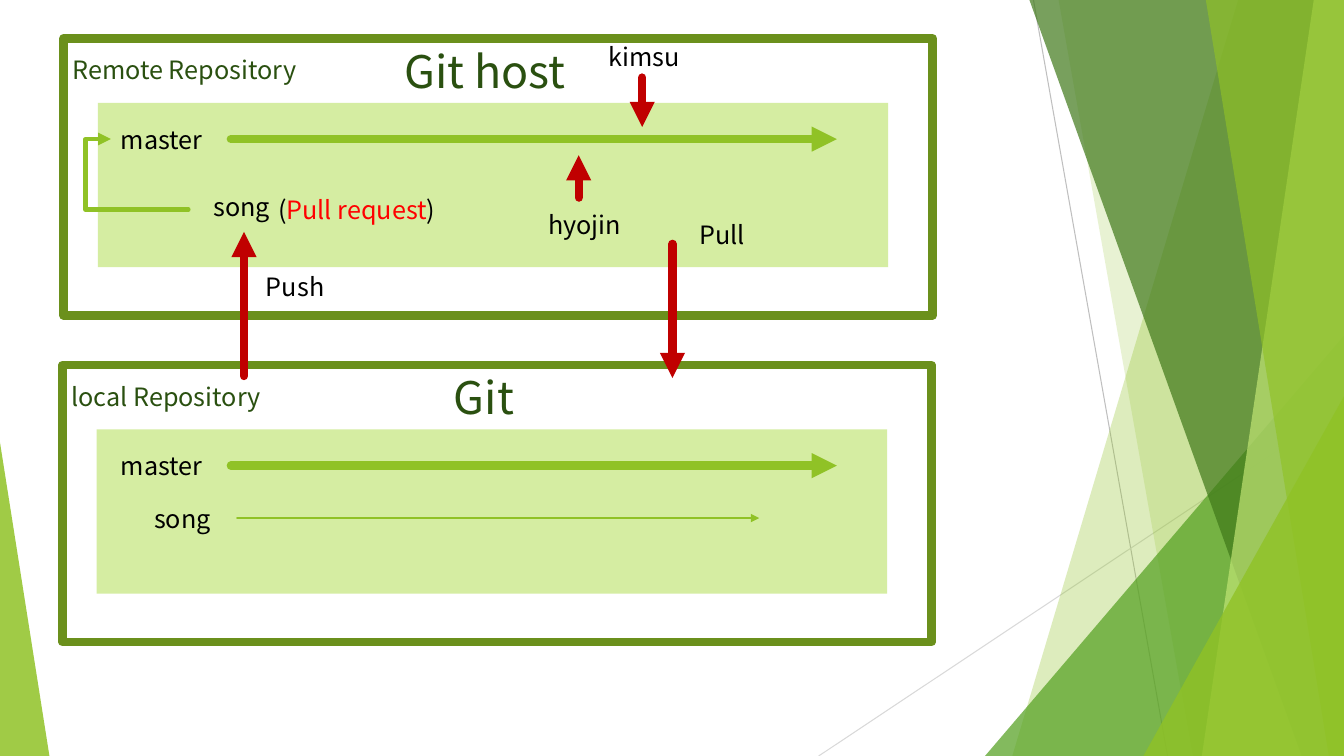
"""Build a slide showing how remote and local Git repositories exchange work."""
from dataclasses import dataclass

from lxml import etree
from pptx import Presentation
from pptx.dml.color import RGBColor
from pptx.enum.shapes import MSO_CONNECTOR, MSO_SHAPE
from pptx.enum.text import MSO_AUTO_SIZE, PP_ALIGN
from pptx.oxml.ns import qn
from pptx.util import Inches, Pt

RECT, TRIANGLE = MSO_SHAPE.RECTANGLE, MSO_SHAPE.ISOSCELES_TRIANGLE
STRAIGHT, ELBOW = MSO_CONNECTOR.STRAIGHT, MSO_CONNECTOR.ELBOW
LEFT, CENTER = PP_ALIGN.LEFT, PP_ALIGN.CENTER
WIDTH, HEIGHT = 13.33, 7.5


@dataclass(frozen=True)
class Theme:
    """Colours, font and sizes of the slide."""
    font: str = "Noto Sans CJK KR"
    title: float = 32
    body: float = 18
    thick: float = 6
    green: str = "90C226"
    mid_green: str = "54A021"
    deep_green: str = "3F7819"
    lime: str = "C0E474"
    frame: str = "6B901C"
    panel: str = "D5EDA2"
    heading: str = "2A5010"
    text: str = "000000"
    request: str = "FF0000"
    transfer: str = "C00000"
    grey: str = "BFBFBF"
    light_grey: str = "D9D9D9"


T = Theme()


@dataclass(frozen=True)
class Facet:
    """A translucent polygon of the background."""
    points: tuple[tuple[float, float], ...]
    color: str
    alpha: int


@dataclass(frozen=True)
class Wedge:
    """A translucent triangle standing on the bottom edge."""
    x: float
    y: float
    w: float
    apex: float
    color: str
    alpha: int


@dataclass(frozen=True)
class Label:
    """A text box given by its corner and its coloured runs."""
    x: float
    y: float
    runs: tuple[tuple[str, str], ...]
    w: float = 2.76
    h: float = 0.4
    size: float = T.body
    align: PP_ALIGN = LEFT


@dataclass(frozen=True)
class Arrow:
    """A line between two points, with or without a head."""
    x1: float
    y1: float
    x2: float
    y2: float
    color: str
    width: float = T.thick
    head: bool = True
    bend: float | None = None


@dataclass(frozen=True)
class Repository:
    """A framed repository with its master branch."""
    x: float
    y: float
    title: str
    name: str


def slanted(top: float, bottom: float, color: str, alpha: int) -> Facet:
    """Return a facet from a slanted left edge to the right slide edge."""
    return Facet(((top, 0), (WIDTH, 0), (WIDTH, HEIGHT), (bottom, HEIGHT)), color, alpha)


def note(x: float, y: float, text: str) -> Label:
    """Return a plain black label."""
    return Label(x, y, ((text, T.text),))


BACK_LINES = (
    Arrow(10.25, 0, 11.58, HEIGHT, T.grey, 0.75, False),
    Arrow(WIDTH, 4.03, 8.12, HEIGHT, T.light_grey, 0.75, False),
)
BACKDROP = (
    slanted(12.28, 10.04, T.green, 30),
    slanted(10.5, 11.83, T.green, 20),
    Wedge(9.77, 3.33, 3.56, 1, T.mid_green, 72),
    slanted(10.21, 12.91, T.deep_green, 70),
    slanted(13.03, 11.92, T.lime, 70),
    slanted(11.96, 13.18, T.green, 65),
    Wedge(11.34, 3.93, 1.99, 1, T.green, 80),
    Wedge(0, 4.39, 0.49, 0, T.green, 85),
)
REPOSITORIES = (
    Repository(0.63, 0.38, "Git host", "Remote Repository"),
    Repository(0.62, 3.62, "Git", "local Repository"),
)
ARROWS = (
    Arrow(2.35, 5.14, 7.53, 5.14, T.green, 1),
    Arrow(2.42, 3.73, 2.42, 2.3, T.transfer),
    Arrow(1.87, 2.08, 1.1, 1.38, T.green, 3, bend=1.326),
    Arrow(6.67, 2.42, 6.67, 3.75, T.transfer),
    Arrow(6.37, 0.77, 6.37, 1.26, T.transfer),
    Arrow(5.74, 1.96, 5.74, 1.54, T.transfer),
)
LABELS = (
    note(1.43, 4.94, "song"),
    note(2.02, 1.85, "song"),
    Label(2.66, 1.88, (("(", T.text), ("Pull request", T.request), (")", T.text))),
    note(6.84, 2.13, "Pull"),
    note(2.54, 2.64, "Push"),
    note(5.94, 0.36, "kimsu"),
    note(5.34, 2.03, "hyojin"),
)


def paint(sp, color: str, alpha: int = 100) -> None:
    """Fill a shape without outline or shadow."""
    sp.shadow.inherit = False
    sp.line.fill.background()
    sp.fill.solid()
    sp.fill.fore_color.rgb = RGBColor.from_string(color)
    if alpha < 100:
        clr = sp._element.spPr.find(qn("a:solidFill"))[0]
        etree.SubElement(clr, qn("a:alpha"), val=str(alpha * 1000))


def stroke(sp, color: str, width: float, head: bool = False) -> None:
    """Give a shape a line with round ends and joins."""
    sp.line.color.rgb = RGBColor.from_string(color)
    sp.line.width = Pt(width)
    ln = sp._element.spPr.find(qn("a:ln"))
    ln.set("cap", "rnd")
    etree.SubElement(ln, qn("a:round"))
    if head:
        etree.SubElement(ln, qn("a:tailEnd"), type="triangle")


def draw_backdrop(shapes, item: Facet | Wedge) -> None:
    """Draw one translucent background piece."""
    if isinstance(item, Wedge):
        sp = shapes.add_shape(TRIANGLE, Inches(item.x), Inches(item.y),
                              Inches(item.w), Inches(HEIGHT - item.y))
        sp.adjustments[0] = item.apex
    else:
        start, *rest = [(Inches(x), Inches(y)) for x, y in item.points]
        builder = shapes.build_freeform(*start)
        builder.add_line_segments(rest, close=True)
        sp = builder.convert_to_shape()
    paint(sp, item.color, item.alpha)


def draw_arrow(shapes, arrow: Arrow) -> None:
    """Draw a straight or bent connector."""
    ends = map(Inches, (arrow.x1, arrow.y1, arrow.x2, arrow.y2))
    sp = shapes.add_connector(STRAIGHT if arrow.bend is None else ELBOW, *ends)
    stroke(sp, arrow.color, arrow.width, arrow.head)
    spPr = sp._element.spPr
    etree.SubElement(spPr, qn("a:effectLst"))
    if arrow.bend is not None:
        guides = spPr.find(qn("a:prstGeom")).find(qn("a:avLst"))
        etree.SubElement(guides, qn("a:gd"), name="adj1", fmla=f"val {round(arrow.bend * 100000)}")


def draw_label(shapes, label: Label) -> None:
    """Draw a text box with coloured runs."""
    tf = shapes.add_textbox(*map(Inches, (label.x, label.y, label.w, label.h))).text_frame
    tf.word_wrap = True
    tf.auto_size = MSO_AUTO_SIZE.SHAPE_TO_FIT_TEXT
    p = tf.paragraphs[0]
    p.alignment = label.align
    for text, color in label.runs:
        r = p.add_run()
        r.text = text
        r.font.name, r.font.size = T.font, Pt(label.size)
        r.font.color.rgb = RGBColor.from_string(color)


def draw_repository(shapes, repo: Repository) -> None:
    """Draw a repository frame, its headings and its master branch."""
    x, y = repo.x, repo.y
    frame = shapes.add_shape(RECT, *map(Inches, (x, y, 8.62, 2.75)))
    frame.shadow.inherit = False
    frame.fill.background()
    stroke(frame, T.frame, T.thick)
    draw_label(shapes, Label(x + 2.55, y, ((repo.title, T.heading),), 3.26, 0.64, T.title, CENTER))
    draw_label(shapes, Label(x - 0.01, y + 0.11, ((repo.name, T.heading),), 3.62))
    paint(shapes.add_shape(RECT, *map(Inches, (x + 0.34, y + 0.64, 7.84, 1.63))), T.panel)
    draw_label(shapes, note(1.1, y + 0.8, "master"))
    draw_arrow(shapes, Arrow(2.29, y + 1, 8.3, y + 1, T.green))


def main() -> None:
    """Assemble and save the slide."""
    prs = Presentation()
    prs.slide_width, prs.slide_height = Inches(WIDTH), Inches(HEIGHT)
    shapes = prs.slides.add_slide(prs.slide_layouts[6]).shapes
    for items, draw in ((BACK_LINES, draw_arrow), (BACKDROP, draw_backdrop),
                        (REPOSITORIES, draw_repository), (ARROWS, draw_arrow),
                        (LABELS, draw_label)):
        for item in items:
            draw(shapes, item)
    prs.save("out.pptx")


if __name__ == "__main__":
    main()
